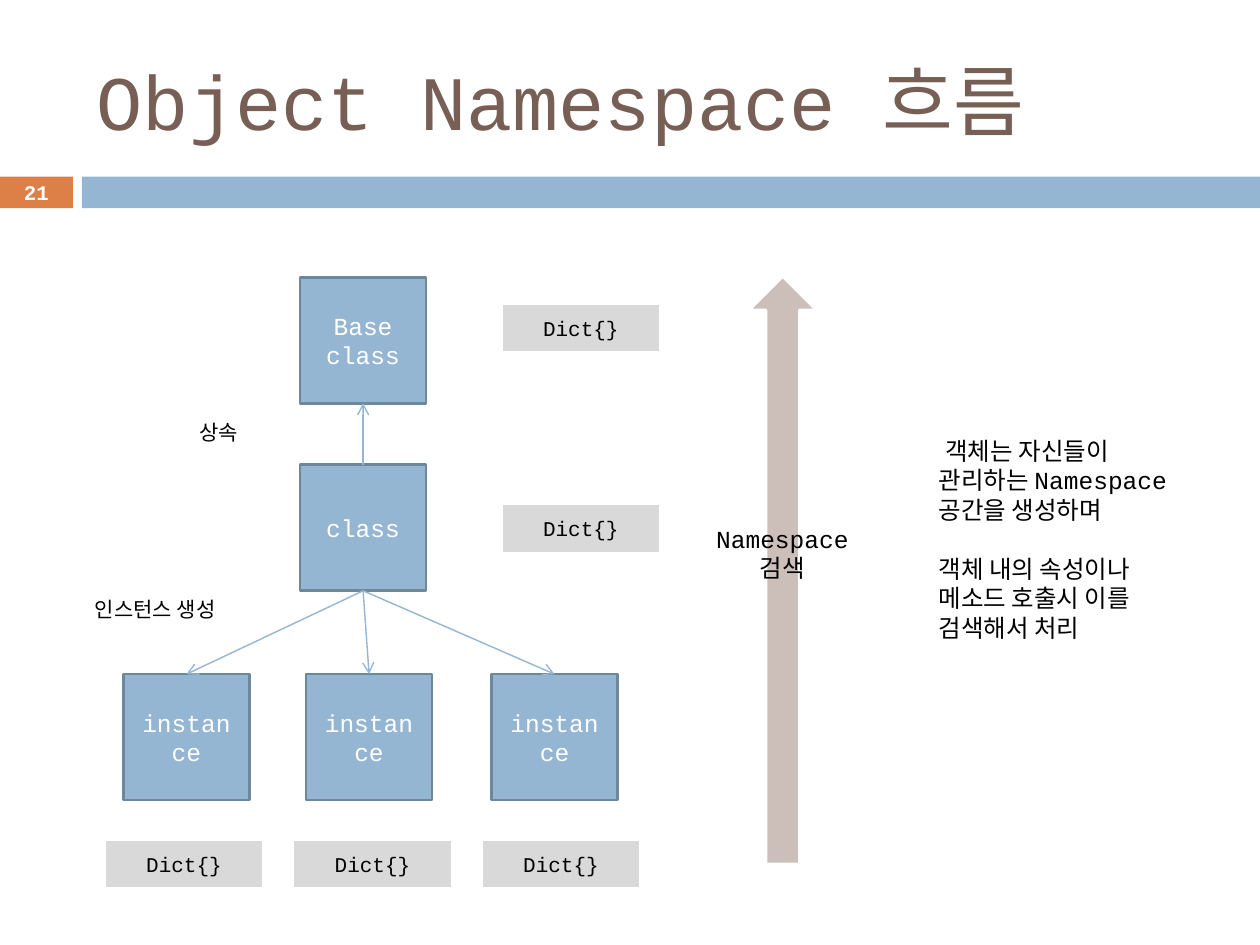
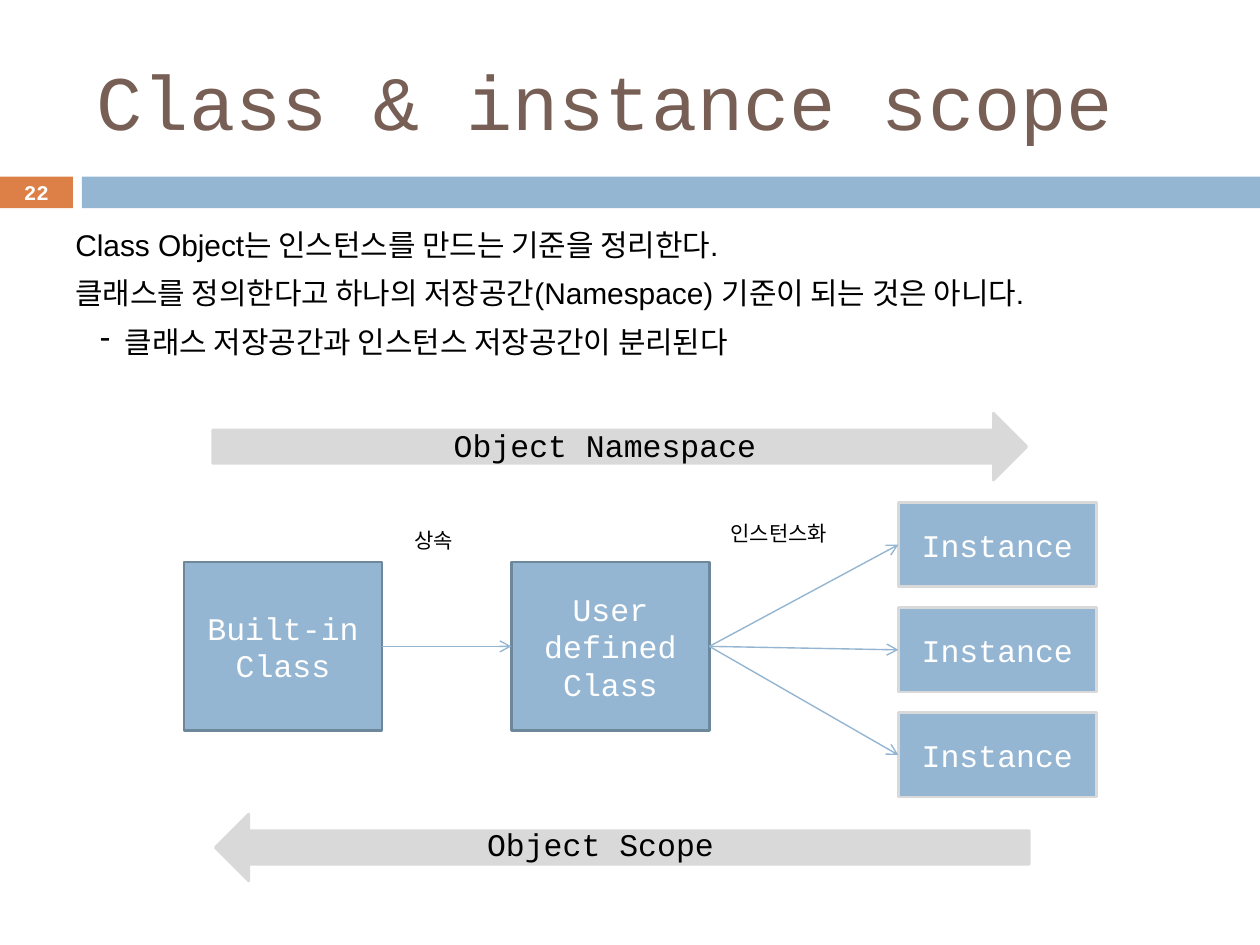
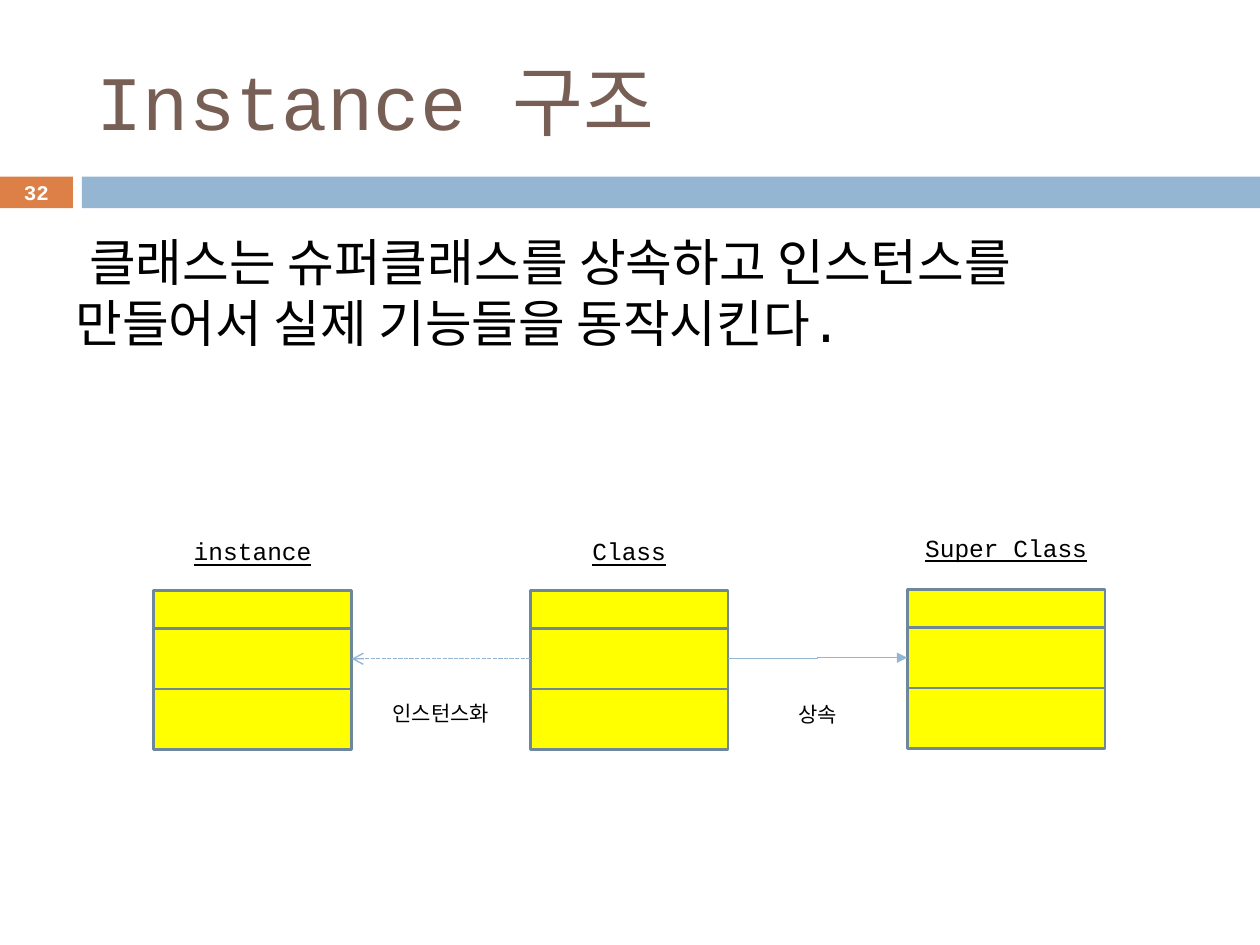
from dataclasses import dataclass
from typing import Any

from lxml.etree import SubElement
from pptx import Presentation
from pptx.dml.color import RGBColor
from pptx.enum.dml import MSO_LINE
from pptx.enum.shapes import MSO_CONNECTOR as Connector, MSO_SHAPE as Preset
from pptx.enum.text import MSO_ANCHOR as Anchor, PP_ALIGN as Align
from pptx.oxml.ns import qn
from pptx.util import Cm, Pt

BLUE, DARK_BLUE, ORANGE = "94B6D2", "6D879B", "DD8047"
BROWN, LIGHT_BROWN, GRAY = "775F55", "CCBEB8", "D9D9D9"
YELLOW, BLACK, WHITE = "FFFF00", "000000", "FFFFFF"
MONO, SANS = "Courier New", "Arial"
TOP, LEFT, BOTTOM, RIGHT = range(4)


@dataclass(frozen=True)
class Area:
    """A rectangle in centimetres."""
    left: float
    top: float
    width: float
    height: float

    def lengths(self) -> tuple:
        return Cm(self.left), Cm(self.top), Cm(self.width), Cm(self.height)


@dataclass(frozen=True)
class Line:
    """One paragraph; indents in centimetres, space before in points."""
    text: str
    margin: float = 0
    indent: float = 0
    bullet: str = ""
    space_before: float = 0


@dataclass(frozen=True)
class TextStyle:
    size: float
    color: str = BLACK
    name: str = MONO
    bold: bool = False
    underline: bool = False
    align: Align = Align.CENTER
    anchor: Anchor = Anchor.TOP


@dataclass(frozen=True)
class ShapeStyle:
    fill: str
    line: str = ""
    preset: Preset = Preset.RECTANGLE
    rotation: float = 0


CLASS_BOX = ShapeStyle(BLUE, DARK_BLUE)
INSTANCE_BOX = ShapeStyle(BLUE, GRAY)
DICT_BOX = ShapeStyle(GRAY, WHITE)
MEMBER_BOX = ShapeStyle(YELLOW, DARK_BLUE)
SEARCH_ARROW = ShapeStyle(LIGHT_BROWN, WHITE, Preset.RIGHT_ARROW, 270)
NAMESPACE_ARROW = ShapeStyle(GRAY, GRAY, Preset.RIGHT_ARROW)
SCOPE_ARROW = ShapeStyle(GRAY, GRAY, Preset.RIGHT_ARROW, 180)

TITLE = TextStyle(44, BROWN, align=Align.LEFT, anchor=Anchor.MIDDLE)
NUMBER = TextStyle(11.9, WHITE, bold=True, anchor=Anchor.MIDDLE)
SMALL_BOX_TEXT = TextStyle(14, WHITE, anchor=Anchor.MIDDLE)
BOX_TEXT = TextStyle(18, WHITE, anchor=Anchor.MIDDLE)
DICT_TEXT = TextStyle(12, anchor=Anchor.MIDDLE)
LABEL = TextStyle(12)
LEFT_LABEL = TextStyle(12, align=Align.LEFT)
SEARCH_TEXT = TextStyle(14)
NOTE = TextStyle(14, align=Align.LEFT)
HEADING = TextStyle(14, underline=True)
ARROW_TEXT = TextStyle(18)
SCOPE_BODY = TextStyle(17.1, name=SANS, align=Align.LEFT)
STRUCTURE_BODY = TextStyle(29, align=Align.LEFT)


def rgb(color: str) -> RGBColor:
    return RGBColor.from_string(color)


def set_attributes(target: Any, values: dict[str, Any]) -> None:
    for name, value in values.items():
        setattr(target, name, value)


def write(shape: Any, style: TextStyle, lines: tuple[str | Line, ...]) -> None:
    frame = shape.text_frame
    set_attributes(frame, {"word_wrap": True, "vertical_anchor": style.anchor})
    for index, item in enumerate(lines):
        line = Line(item) if isinstance(item, str) else item
        paragraph = frame.add_paragraph() if index else frame.paragraphs[0]
        set_attributes(paragraph, {"alignment": style.align,
                                   "space_before": Pt(line.space_before)})
        properties = paragraph._p.get_or_add_pPr()
        properties.set("marL", str(Cm(line.margin)))
        properties.set("indent", str(Cm(line.indent)))
        if line.bullet:
            SubElement(properties, qn("a:buChar")).set("char", line.bullet)
        run = paragraph.add_run()
        run.text = line.text
        set_attributes(run.font, {"size": Pt(style.size), "name": style.name,
                                  "bold": style.bold, "underline": style.underline})
        run.font.color.rgb = rgb(style.color)


def add_text(slide: Any, area: Area, style: TextStyle, *lines: str | Line) -> None:
    write(slide.shapes.add_textbox(*area.lengths()), style, lines)


def add_box(shapes: Any, area: Area, style: ShapeStyle,
            text_style: TextStyle = BOX_TEXT, *lines: str) -> Any:
    shape = shapes.add_shape(style.preset, *area.lengths())
    shape.shadow.inherit = False
    shape.rotation = style.rotation
    shape.fill.solid()
    shape.fill.fore_color.rgb = rgb(style.fill)
    if style.line:
        shape.line.color.rgb = rgb(style.line)
        shape.line.width = Pt(1.5)
    else:
        shape.line.fill.background()
    if lines:
        write(shape, text_style, lines)
    return shape


def connect(slide: Any, start: Any, start_side: int, end: Any, end_side: int,
            kind: Connector = Connector.STRAIGHT, head: str = "arrow",
            dash: MSO_LINE | None = None) -> None:
    connector = slide.shapes.add_connector(kind, 0, 0, 0, 0)
    connector.begin_connect(start, start_side)
    connector.end_connect(end, end_side)
    connector.line.color.rgb = rgb(BLUE)
    set_attributes(connector.line, {"width": Pt(0.79), "dash_style": dash})
    SubElement(connector.line._get_or_add_ln(), qn("a:tailEnd")).set("type", head)
    SubElement(connector._element.spPr, qn("a:effectLst"))


def add_slide(presentation: Any, title: str, number: int) -> Any:
    """Add a blank slide with the title, the two bands and the slide number."""
    slide = presentation.slides.add_slide(presentation.slide_layouts[6])
    add_box(slide.shapes, Area(0, 3.56, 1.47, 0.64), ShapeStyle(ORANGE))
    add_box(slide.shapes, Area(1.65, 3.56, 23.75, 0.64), ShapeStyle(BLUE))
    add_text(slide, Area(1.7, 0.64, 22.66, 2.74), TITLE, title)
    add_text(slide, Area(0, 3.53, 1.47, 0.69), NUMBER, str(number))
    return slide


def add_namespace_flow(presentation: Any) -> None:
    slide = add_slide(presentation, "Object Namespace 흐름", 21)

    def add_square(left: float, top: float, text: str) -> Any:
        return add_box(slide.shapes, Area(left, top, 2.54, 2.54), CLASS_BOX,
                       SMALL_BOX_TEXT, text)

    base_class = add_square(6.05, 5.59, "Base class")
    derived_class = add_square(6.05, 9.37, "class")
    connect(slide, derived_class, TOP, base_class, BOTTOM)
    for left in (2.49, 6.17, 9.91):
        instance = add_square(left, 13.59, "instance")
        connect(slide, derived_class, BOTTOM, instance, TOP)

    add_text(slide, Area(3.35, 8.33, 2.13, 0.76), LABEL, "상속")
    add_text(slide, Area(1.3, 11.91, 3.66, 0.76), LABEL, "인스턴스 생성")

    instance_dicts = [(2.11 + 3.8 * column, 16.92) for column in range(3)]
    for left, top in [(10.11, 6.12), (10.11, 10.16), *instance_dicts]:
        add_box(slide.shapes, Area(left, top, 3.2, 0.99), DICT_BOX, DICT_TEXT, "Dict{}")

    add_box(slide.shapes, Area(9.86, 10.82, 11.84, 1.35), SEARCH_ARROW)
    add_text(slide, Area(13.87, 10.44, 3.81, 1.45), SEARCH_TEXT, "Namespace", "검색")
    add_text(slide, Area(18.67, 8.66, 5.59, 4.45), NOTE,
             Line("객체는 자신들이 관리하는 Namespace 공간을 생성하며", indent=0.14),
             Line("객체 내의 속성이나 메소드 호출시 이를 검색해서 처리", space_before=17))


def add_scope(presentation: Any) -> None:
    slide = add_slide(presentation, "Class & instance scope", 22)
    add_text(slide, Area(1.27, 4.45, 22.86, 3.48), SCOPE_BODY,
             "Class Object는 인스턴스를 만드는 기준을 정리한다.",
             Line("클래스를 정의한다고 하나의 저장공간(Namespace) 기준이 되는 것은 아니다.",
                  space_before=7),
             Line("클래스 저장공간과 인스턴스 저장공간이 분리된다",
                  margin=1, indent=-0.5, bullet="-", space_before=7))

    built_in, user_defined = (
        add_box(slide.shapes, Area(left, 11.33, 3.99, 3.4), CLASS_BOX, BOX_TEXT,
                name, "Class")
        for left, name in ((3.71, "Built-in"), (10.31, "User defined")))
    connect(slide, built_in, RIGHT, user_defined, LEFT)
    for row in range(3):
        instance = add_box(slide.shapes, Area(18.11, 10.13 + 2.12 * row, 3.99, 1.7),
                           INSTANCE_BOX, BOX_TEXT, "Instance")
        connect(slide, user_defined, RIGHT, instance, LEFT)

    add_text(slide, Area(8.1, 10.52, 2.21, 0.76), LEFT_LABEL, "상속")
    add_text(slide, Area(14.48, 10.36, 3.02, 0.76), LEFT_LABEL, "인스턴스화")
    add_box(slide.shapes, Area(4.29, 8.33, 16.41, 1.35), NAMESPACE_ARROW)
    add_box(slide.shapes, Area(4.34, 16.41, 16.41, 1.35), SCOPE_ARROW)
    add_text(slide, Area(9.31, 16.51, 5.59, 1.02), ARROW_TEXT, "Object Scope")
    add_text(slide, Area(7.7, 8.46, 8.99, 1.02), ARROW_TEXT, "Object Namespace")


def add_class_diagram(slide: Any, name: str, left: float, top: float,
                      heading_top: float) -> Any:
    """Draw a heading over three stacked boxes and return the middle box."""
    width = 3.99
    add_text(slide, Area(left, heading_top, width, 0.86), HEADING, name)
    group = slide.shapes.add_group_shape()
    boxes = []
    for height in (0.76, 1.22, 1.22):
        boxes.append(add_box(group.shapes, Area(left, top, width, height), MEMBER_BOX))
        top += height
    return boxes[1]


def add_instance_structure(presentation: Any) -> None:
    slide = add_slide(presentation, "Instance 구조", 32)
    add_text(slide, Area(1.27, 4.52, 22.86, 3.3), STRUCTURE_BODY,
             Line("클래스는 슈퍼클래스를 상속하고 인스턴스를 만들어서 실제 기능들을 동작시킨다.",
                  indent=0.28))
    instance = add_class_diagram(slide, "instance", 3.1, 11.91, 10.69)
    middle_class = add_class_diagram(slide, "Class", 10.69, 11.91, 10.69)
    super_class = add_class_diagram(slide, "Super Class", 18.29, 11.89, 10.62)
    connect(slide, middle_class, RIGHT, super_class, LEFT, Connector.ELBOW, "triangle")
    connect(slide, middle_class, LEFT, instance, RIGHT, dash=MSO_LINE.SQUARE_DOT)
    add_text(slide, Area(15.29, 14.02, 2.39, 0.76), LABEL, "상속")
    add_text(slide, Area(7.49, 14, 2.79, 0.76), LABEL, "인스턴스화")


def main() -> None:
    presentation = Presentation()
    set_attributes(presentation, {"slide_width": Cm(25.4), "slide_height": Cm(19.05)})
    add_namespace_flow(presentation)
    add_scope(presentation)
    add_instance_structure(presentation)
    presentation.save("out.pptx")


if __name__ == "__main__":
    main()
